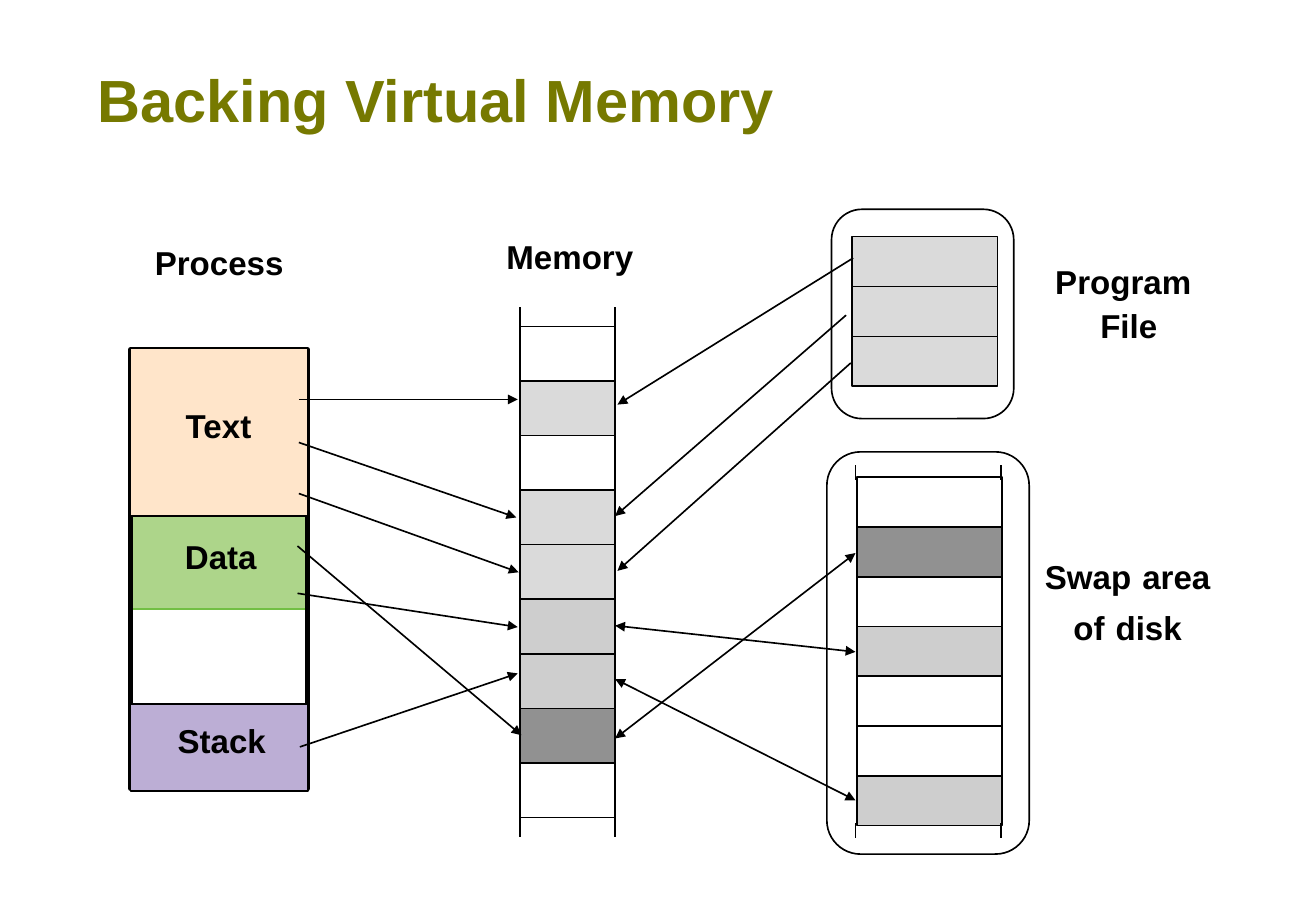
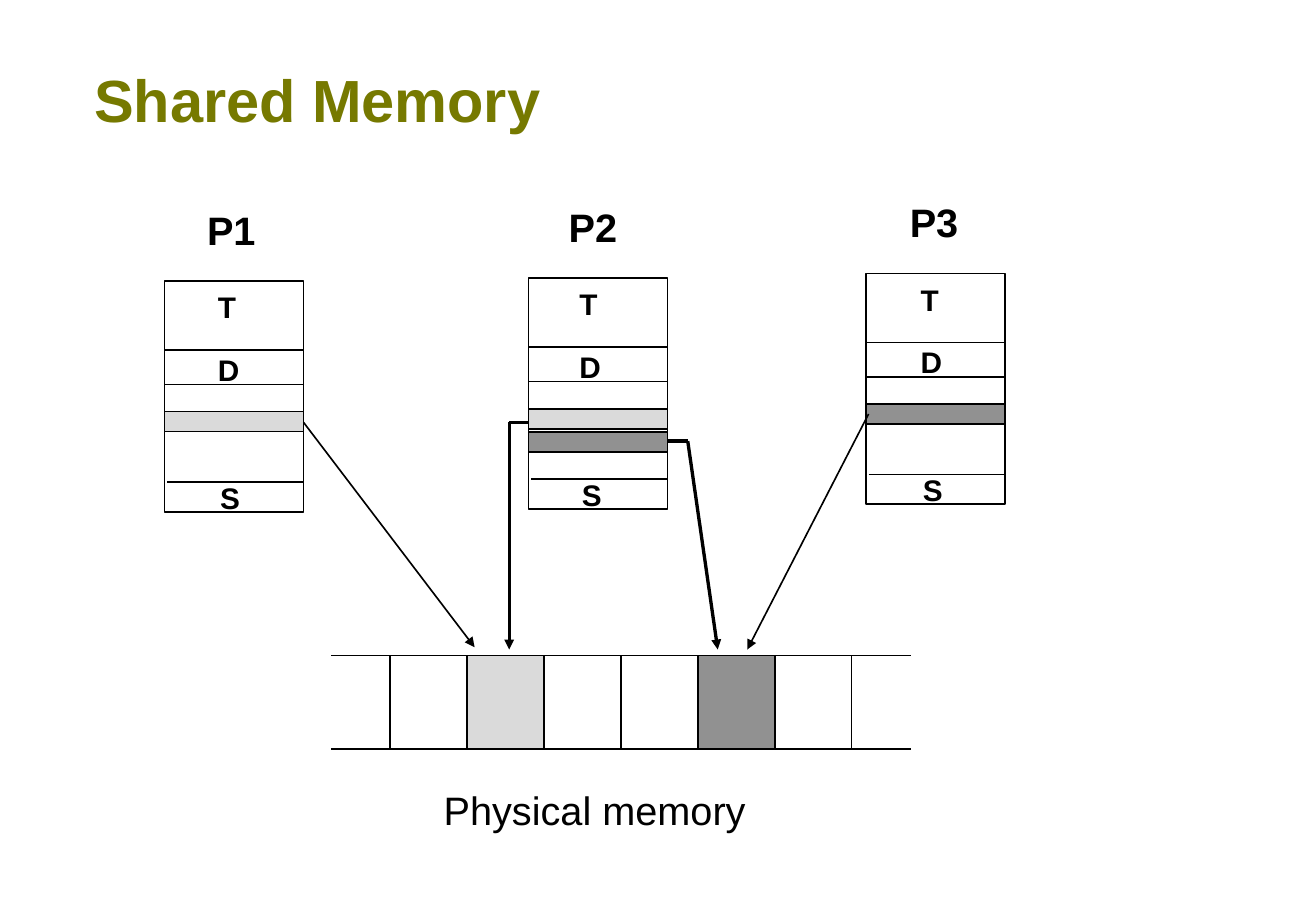
from itertools import groupby, product

from lxml.etree import SubElement
from pptx import Presentation
from pptx.dml.color import RGBColor
from pptx.enum.shapes import MSO_CONNECTOR, MSO_SHAPE
from pptx.enum.text import PP_ALIGN
from pptx.oxml.ns import qn
from pptx.util import Cm, Pt

COLORS = {
    "title": "767900",
    "ink": "000000",
    "white": "FFFFFF",
    "text": "FFE5CA",
    "data": "ADD58A",
    "data_line": "72BF44",
    "stack": "BCAED5",
    "light": "DADADA",
    "middle": "CECECE",
    "dark": "919191",
}
FONT = "Arial"


def color(name):
    return RGBColor.from_string(COLORS[name])


class Deck:
    """Hold the shared style and the current slide; lengths are centimetres."""

    def __init__(self):
        self.presentation = Presentation()
        self.presentation.slide_width = Cm(28.09)
        self.presentation.slide_height = Cm(19.71)
        self.slide = None

    def new_slide(self, title, left):
        self.slide = self.presentation.slides.add_slide(self.presentation.slide_layouts[6])
        background = self.slide.background.fill
        background.solid()
        background.fore_color.rgb = color("white")
        self.text(title, left, 1.24, 23.8, 2.95, size=36, ink="title")

    def text(self, text, left, top, width, height=1.12, *, size=20, bold=True,
             ink="ink", centered=False, space_size=None):
        shape = self.slide.shapes.add_textbox(Cm(left), Cm(top), Cm(width), Cm(height))
        frame = shape.text_frame
        frame.word_wrap = True
        frame.margin_left = frame.margin_top = frame.margin_right = frame.margin_bottom = 0
        for index, line in enumerate(text.split("\n")):
            paragraph = frame.add_paragraph() if index else frame.paragraphs[0]
            paragraph.alignment = PP_ALIGN.CENTER if centered else PP_ALIGN.LEFT
            paragraph.line_spacing = 1.07
            pieces = groupby(line, str.isspace) if space_size else [(False, line)]
            for is_space, letters in pieces:
                run = paragraph.add_run()
                run.text = "".join(letters)
                run.font.name = FONT
                run.font.size = Pt(space_size if is_space else size)
                run.font.bold = bold
                run.font.color.rgb = color(ink)

    def box(self, left, top, width, height, fill=None, *, line="ink", weight=1,
            kind=MSO_SHAPE.RECTANGLE):
        shape = self.slide.shapes.add_shape(kind, Cm(left), Cm(top), Cm(width), Cm(height))
        shape.shadow.inherit = False
        if fill:
            shape.fill.solid()
            shape.fill.fore_color.rgb = color(fill)
        else:
            shape.fill.background()
        shape.line.color.rgb = color(line)
        shape.line.width = Pt(weight)

    def line(self, x1, y1, x2, y2, *, weight=1, arrows=()):
        connector = self.slide.shapes.add_connector(
            MSO_CONNECTOR.STRAIGHT, Cm(x1), Cm(y1), Cm(x2), Cm(y2))
        connector.line.color.rgb = color("ink")
        connector.line.width = Pt(weight)
        properties = connector.element.spPr
        for end in arrows:
            SubElement(properties.find(qn("a:ln")), qn(f"a:{end}End")).set("type", "triangle")
        SubElement(properties, qn("a:effectLst"))

    def column(self, left, top, width, height, fills):
        step = height / len(fills)
        for index, fill in enumerate(fills):
            self.box(left, top + index * step, width, step, fill)

    def row(self, left, top, width, height, fills):
        step = width / len(fills)
        for index, fill in enumerate(fills):
            self.box(left + index * step, top, step, height, fill)

    def open_ends(self, left, right, top, bottom, length):
        for x, (y, direction) in product((left, right), ((top, -1), (bottom, 1))):
            self.line(x, y, x, y + direction * length)

    def process(self, name, left, top, text_left, bands):
        width = 2.97
        self.box(left, top, width, 4.93)
        for offset, inset in ((1.47, 0), (2.21, 0), (4.29, 0.06)):
            self.line(left + inset, top + offset, left + width, top + offset)
        for offset, fill in bands:
            self.box(left, top + offset, width, 0.43, fill)
        for letter, shift, offset in (("T", 0, 0.12), ("D", 0, 1.45), ("S", 0.05, 4.19)):
            self.text(letter, text_left + shift, top + offset, 0.8, 0.86, size=18)
        self.text(name, text_left - 0.23, top - 1.68, 1.3, 1.17, size=24)


def backing_slide(deck):
    deck.new_slide("Backing Virtual Memory", 2.08)
    deck.box(2.79, 11, 3.78, 2.01, "data", line="data_line")
    deck.box(2.79, 7.47, 3.78, 9.37, weight=3)
    deck.box(2.79, 7.44, 3.78, 3.58, "text")
    deck.box(2.79, 15.04, 3.78, 1.85, "stack")

    deck.column(11.1, 6.97, 2.03, 10.49, (
        None, "light", None, "light", "light", "middle", "middle", "dark", None))
    deck.column(18.19, 5.05, 3.1, 3.2, ("light",) * 3)
    deck.column(18.29, 10.19, 3.1, 7.44, (
        None, "dark", None, "middle", None, None, "middle"))

    for label, left, top, width in (
        ("Text", 3.66, 8.59, 2.01),
        ("Data", 3.66, 11.4, 2.11),
        ("Stack", 3.48, 15.32, 2.51),
        ("Memory", 10.41, 5, 3.51),
        ("Process", 2.9, 5.11, 3.56),
    ):
        deck.text(label, left, top, width, centered=True)
    deck.text("Swap area of disk", 22.28, 11.68, 3.58, 3.28, centered=True, space_size=24)
    deck.text("Program \nFile", 22.1, 5.38, 3.99, 2.13, centered=True, space_size=24)

    process_links = (
        (6.38, 8.53, 11.05, 8.53),
        (6.38, 9.45, 11.02, 11.05),
        (6.38, 10.54, 11.07, 12.22),
        (6.35, 11.66, 11.13, 15.7),
        (6.35, 12.67, 11.05, 13.39),
        (6.4, 15.95, 11.05, 14.38),
    )
    file_links = (
        (13.18, 8.64, 18.21, 5.51),
        (13.13, 11.02, 18.06, 6.73),
        (13.18, 12.19, 18.16, 7.75),
    )
    swap_links = (
        (13.13, 13.36, 18.26, 13.92),
        (13.13, 15.77, 18.26, 11.81),
        (13.13, 14.5, 18.26, 17.09),
    )
    for links, arrows in (
        (process_links, ("tail",)),
        (file_links, ("head",)),
        (swap_links, ("head", "tail")),
    ):
        for link in links:
            deck.line(*link, arrows=arrows)

    for frame in ((17.75, 4.47, 3.89, 4.47), (17.65, 9.65, 4.32, 8.59)):
        deck.box(*frame, kind=MSO_SHAPE.ROUNDED_RECTANGLE)
    deck.open_ends(11.1, 13.13, 7.01, 17.42, 0.45)
    deck.open_ends(18.26, 21.36, 10.24, 17.58, 0.32)


def shared_slide(deck):
    deck.new_slide("Shared Memory", 2.01)
    deck.row(8.33, 14, 9.85, 2, ("white", "light", "white", "white", "dark", "white"))
    for y, (start, end) in product((14, 16), ((8.33, 7.06), (18.16, 19.45))):
        deck.line(start, y, end, y)
    deck.text("Physical memory", 9.47, 16.71, 7.75, 1.24, size=24, bold=False)

    deck.process("P1", 3.51, 6, 4.65, ((2.79, "light"),))
    deck.process("P2", 11.28, 5.94, 12.37, ((2.79, "light"), (3.28, "dark")))
    deck.process("P3", 18.48, 5.84, 19.65, ((2.79, "dark"),))

    for link, weight in (
        ((6.48, 9.02, 10.13, 13.82), 1),
        ((10.87, 9.02, 10.87, 13.87), 2),
        ((14.68, 9.42, 15.32, 13.87), 2),
        ((18.54, 8.84, 15.95, 13.87), 1),
    ):
        deck.line(*link, weight=weight, arrows=("tail",))
    deck.line(14.25, 9.42, 14.68, 9.42, weight=2)
    deck.line(10.87, 9.02, 11.3, 9.02, weight=2)


def main():
    deck = Deck()
    backing_slide(deck)
    shared_slide(deck)
    deck.presentation.save("out.pptx")


if __name__ == "__main__":
    main()
